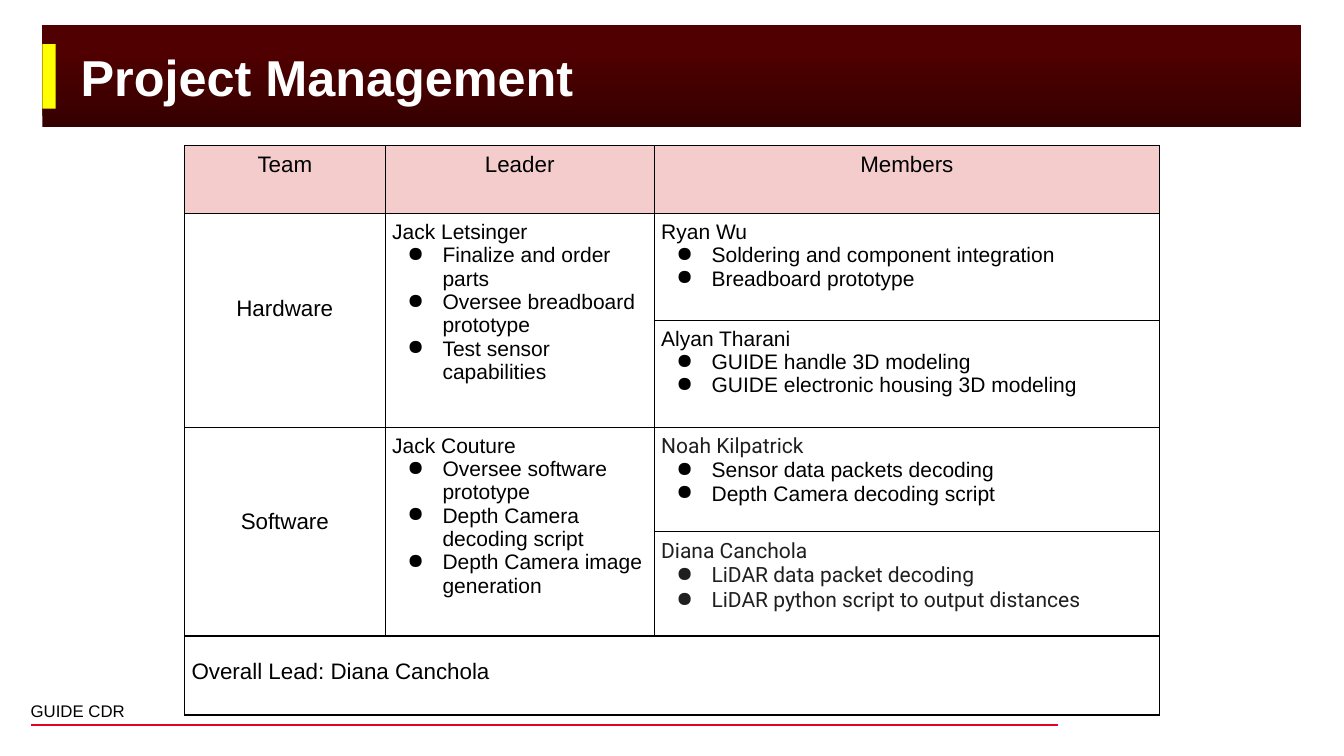
from dataclasses import dataclass

import lxml.etree
import pptx
import pptx.dml.color
import pptx.enum.shapes
import pptx.enum.text
import pptx.oxml.ns
import pptx.util

COLORS = {
    "maroon": "500000",
    "dark maroon": "370000",
    "yellow": "FFFF00",
    "red": "E4002B",
    "pink": "F4CCCC",
    "white": "FFFFFF",
    "black": "000000",
    "charcoal": "1F1F1F",
}
Pt = pptx.util.Pt
CENTER = pptx.enum.text.PP_ALIGN.CENTER
LEFT = pptx.enum.text.PP_ALIGN.LEFT
CELL_MARGIN = 5.04
COLUMN_WIDTHS = [143.3, 192.2, 361]
ROW_HEIGHTS = [48.4, 76.4, 76.4, 74.6, 74.6, 56.4]


@dataclass(frozen=True)
class TextStyle:
    size: float
    font: str = "Arial"
    color: str = "black"
    bold: bool = False


HEADING = TextStyle(16)
BODY = TextStyle(15)
ROBOTO = TextStyle(15, "Roboto", "charcoal")


@dataclass(frozen=True)
class Entry:
    """A table cell, with a lead line and optional bulleted tasks."""
    row: int
    column: int
    lead: str
    tasks: tuple[str, ...] = ()
    lead_style: TextStyle = BODY
    task_style: TextStyle = BODY
    row_span: int = 1
    column_span: int = 1
    align: pptx.enum.text.PP_ALIGN = LEFT
    top_margin: float = CELL_MARGIN
    fill: str | None = None


HEADERS = [
    Entry(0, column, label, lead_style=HEADING, align=CENTER, fill="pink")
    for column, label in enumerate(["Team", "Leader", "Members"])
]
TEAMS = [
    Entry(row, 0, label, lead_style=HEADING, row_span=2, align=CENTER, top_margin=59)
    for row, label in [(1, "Hardware"), (3, "Software")]
]
PEOPLE = [
    Entry(1, 1, "Jack Letsinger",
          ("Finalize and order parts", "Oversee breadboard prototype",
           "Test sensor capabilities"), row_span=2),
    Entry(1, 2, "Ryan Wu",
          ("Soldering and component integration", "Breadboard prototype")),
    Entry(2, 2, "Alyan Tharani",
          ("GUIDE handle 3D modeling", "GUIDE electronic housing 3D modeling")),
    Entry(3, 1, "Jack Couture",
          ("Oversee software prototype", "Depth Camera decoding script",
           "Depth Camera image generation"), row_span=2),
    Entry(3, 2, "Noah Kilpatrick",
          ("Sensor data packets decoding", "Depth Camera decoding script"),
          lead_style=ROBOTO),
    Entry(4, 2, "Diana Canchola",
          ("LiDAR data packet decoding", "LiDAR python script to output distances"),
          lead_style=ROBOTO, task_style=ROBOTO),
]
OVERALL = Entry(5, 0, "Overall Lead: Diana Canchola", lead_style=HEADING,
                column_span=3, top_margin=16.5)


def rgb(name: str) -> pptx.dml.color.RGBColor:
    return pptx.dml.color.RGBColor.from_string(COLORS[name])


def style_paragraph(paragraph, style: TextStyle) -> None:
    font = paragraph.font
    font.name, font.size, font.bold = style.font, Pt(style.size), style.bold
    font.color.rgb = rgb(style.color)


def add_bullet(paragraph) -> None:
    properties = paragraph._p.get_or_add_pPr()
    properties.set("marL", str(Pt(36)))
    properties.set("indent", str(Pt(-25.2)))
    bullet = lxml.etree.SubElement(properties, pptx.oxml.ns.qn("a:buChar"))
    bullet.set("char", "●")


def add_borders(cell) -> None:
    properties = cell._tc.get_or_add_tcPr()
    for position, side in enumerate(["lnL", "lnR", "lnT", "lnB"]):
        properties.insert(position, pptx.oxml.parse_xml(
            f'<a:{side} {pptx.oxml.ns.nsdecls("a")} w="{Pt(1)}"><a:solidFill>'
            f'<a:srgbClr val="{COLORS["black"]}"/></a:solidFill></a:{side}>'))


def add_rectangle(slide, left: float, top: float, width: float, height: float):
    shape = slide.shapes.add_shape(pptx.enum.shapes.MSO_SHAPE.RECTANGLE,
                                   Pt(left), Pt(top), Pt(width), Pt(height))
    shape.shadow.inherit = False
    shape.line.fill.background()
    return shape


def add_banner(slide) -> None:
    # Gradient band, dark at the bottom
    banner = add_rectangle(slide, 30.2, 18.2, 899.4, 72.8)
    banner.fill.gradient()
    banner.fill.gradient_angle = 90
    stops = [("dark maroon", 0.05), ("maroon", 0.76)]
    for stop, (color, position) in zip(banner.fill.gradient_stops, stops):
        stop.color.rgb, stop.position = rgb(color), position

    # Yellow accent
    accent = add_rectangle(slide, 30.2, 31.6, 9.6, 46)
    accent.fill.solid()
    accent.fill.fore_color.rgb = rgb("yellow")

    # Title, in front of the band
    title = slide.shapes.title
    accent._element.addnext(title._element)
    title.left, title.top, title.width, title.height = Pt(50.4), Pt(18.2), Pt(605.5), Pt(72.8)
    frame = title.text_frame
    frame.text = "Project Management"
    frame.auto_size = pptx.enum.text.MSO_AUTO_SIZE.NONE
    frame.vertical_anchor = pptx.enum.text.MSO_ANCHOR.MIDDLE
    frame.paragraphs[0].alignment = LEFT
    style_paragraph(frame.paragraphs[0], TextStyle(36, color="white", bold=True))


def add_footer(slide) -> None:
    rule = slide.shapes.add_connector(pptx.enum.shapes.MSO_CONNECTOR.STRAIGHT,
                                      Pt(21.9), Pt(517.8), Pt(756), Pt(517.8))
    rule.line.color.rgb = rgb("red")
    rule.line.width = Pt(1)
    lxml.etree.SubElement(rule._element.spPr, pptx.oxml.ns.qn("a:effectLst"))

    frame = slide.shapes.add_textbox(Pt(21.9), Pt(500.4), Pt(734), Pt(14.4)).text_frame
    frame.margin_left = frame.margin_right = frame.margin_top = frame.margin_bottom = 0
    frame.word_wrap = True
    frame.vertical_anchor = pptx.enum.text.MSO_ANCHOR.BOTTOM
    frame.text = "GUIDE CDR"
    style_paragraph(frame.paragraphs[0], TextStyle(12))


def fill_entry(table, entry: Entry) -> None:
    cell = table.cell(entry.row, entry.column)
    if entry.row_span > 1 or entry.column_span > 1:
        cell.merge(table.cell(entry.row + entry.row_span - 1,
                              entry.column + entry.column_span - 1))
    cell.margin_top = Pt(entry.top_margin)
    if entry.fill:
        cell.fill.solid()
        cell.fill.fore_color.rgb = rgb(entry.fill)
    lead = cell.text_frame.paragraphs[0]
    lead.text = entry.lead
    lead.alignment = entry.align
    style_paragraph(lead, entry.lead_style)
    for task in entry.tasks:
        paragraph = cell.text_frame.add_paragraph()
        paragraph.text = task
        add_bullet(paragraph)
        style_paragraph(paragraph, entry.task_style)


def add_team_table(slide) -> None:
    table = slide.shapes.add_table(
        len(ROW_HEIGHTS), len(COLUMN_WIDTHS), Pt(131.8), Pt(104),
        Pt(sum(COLUMN_WIDTHS)), Pt(sum(ROW_HEIGHTS))).table
    table.first_row = table.horz_banding = False
    for column, width in zip(table.columns, COLUMN_WIDTHS):
        column.width = Pt(width)
    for row, height in zip(table.rows, ROW_HEIGHTS):
        row.height = Pt(height)
    for cell in table.iter_cells():
        cell.margin_left = cell.margin_right = Pt(CELL_MARGIN)
        cell.margin_top = cell.margin_bottom = Pt(CELL_MARGIN)
        cell.fill.background()
        add_borders(cell)
    for entry in [*HEADERS, *TEAMS, *PEOPLE, OVERALL]:
        fill_entry(table, entry)


def main() -> None:
    presentation = pptx.Presentation()
    presentation.slide_width, presentation.slide_height = Pt(960), Pt(540)
    slide = presentation.slides.add_slide(presentation.slide_layouts[5])
    add_banner(slide)
    add_footer(slide)
    add_team_table(slide)
    presentation.save("out.pptx")


if __name__ == "__main__":
    main()
